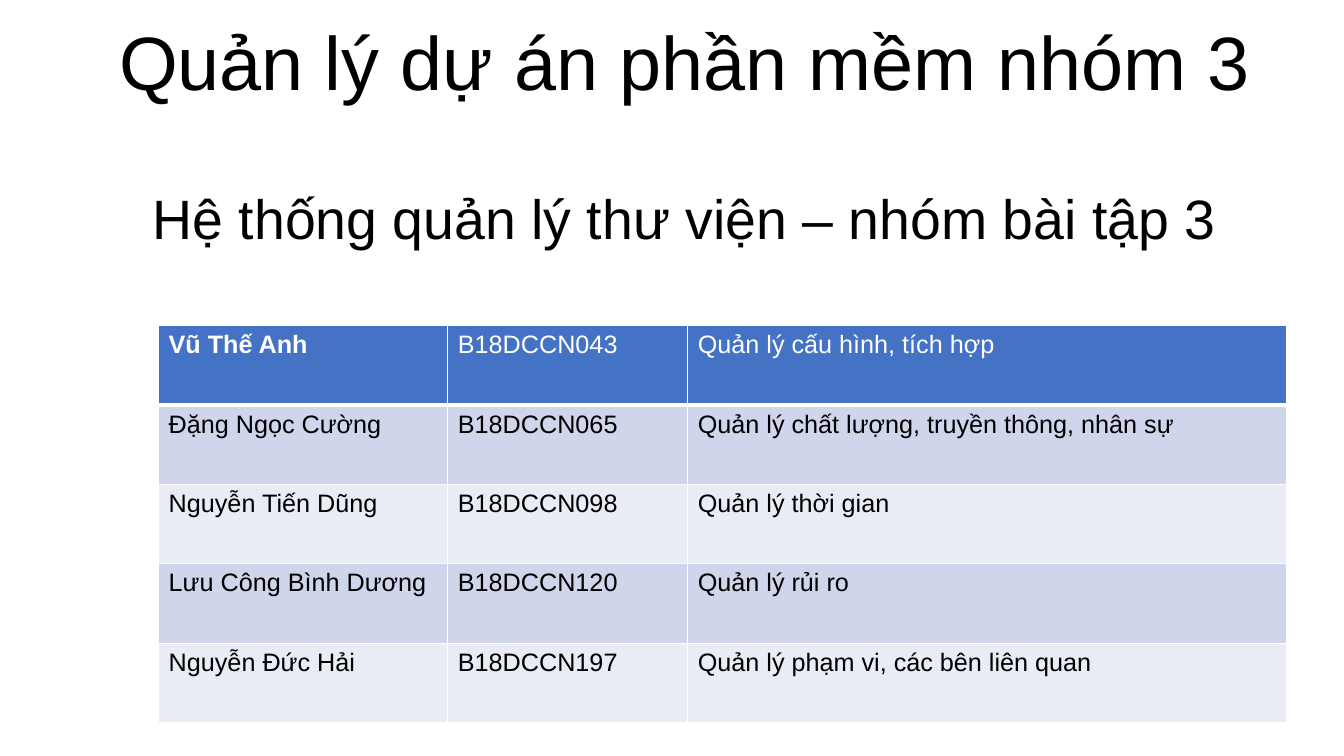
from lxml import etree
from pptx import Presentation
from pptx.dml.color import RGBColor
from pptx.enum import text
from pptx.oxml import ns
from pptx.util import Pt

FONT = "Arial"
BLACK, WHITE = "000000", "FFFFFF"
HEADER_FILL = "4472C4"
BAND_FILLS = ["CFD5EA", "E9EBF5"]

# wording, size, space before
HEADINGS = [
    ("Quản lý dự án phần mềm nhóm 3", 54, 0),
    ("Hệ thống quản lý thư viện – nhóm bài tập 3", 39.6, 61),
]
HEADING_BOX = (39.6, 0, 898.6, 231.1)
HEADING_BOTTOM_INSET = 51.3

MEMBERS = [
    ("Vũ Thế Anh", "B18DCCN043", "Quản lý cấu hình, tích hợp"),
    ("Đặng Ngọc Cường", "B18DCCN065", "Quản lý chất lượng, truyền thông, nhân sự"),
    ("Nguyễn Tiến Dũng", "B18DCCN098", "Quản lý thời gian"),
    ("Lưu Công Bình Dương", "B18DCCN120", "Quản lý rủi ro"),
    ("Nguyễn Đức Hải", "B18DCCN197", "Quản lý phạm vi, các bên liên quan"),
]
TABLE_LEFT, TABLE_TOP = 113.3, 232.7
COLUMN_WIDTHS = [206.6, 171.4, 427.7]
ROW_HEIGHT = 56.7


def color(value):
    return RGBColor.from_string(value)


def add_run(paragraph, wording, size, ink, bold=False):
    run = paragraph.add_run()
    run.text = wording
    run.font.name = FONT
    run.font.size = Pt(size)
    run.font.bold = bold
    run.font.color.rgb = color(ink)


def add_borders(cell, top, bottom):
    """Draw white cell borders; top and bottom are widths in points."""
    properties = cell._tc.get_or_add_tcPr()
    for side, width in (("L", 1), ("R", 1), ("T", top), ("B", bottom)):
        line = etree.SubElement(properties, ns.qn(f"a:ln{side}"), w=str(Pt(width)))
        fill = etree.SubElement(line, ns.qn("a:solidFill"))
        etree.SubElement(fill, ns.qn("a:srgbClr"), val=WHITE)


def add_headings(slide):
    box = slide.shapes.add_textbox(*map(Pt, HEADING_BOX))
    frame = box.text_frame
    frame.word_wrap = True
    frame.vertical_anchor = text.MSO_ANCHOR.BOTTOM
    frame.margin_bottom = Pt(HEADING_BOTTOM_INSET)
    for index, (wording, size, space) in enumerate(HEADINGS):
        paragraph = frame.add_paragraph() if index else frame.paragraphs[0]
        paragraph.alignment = text.PP_ALIGN.CENTER
        paragraph.line_spacing = 0.9
        paragraph.space_before = Pt(space)
        add_run(paragraph, wording, size, BLACK)


def add_member_table(slide):
    table = slide.shapes.add_table(
        len(MEMBERS), len(COLUMN_WIDTHS), Pt(TABLE_LEFT), Pt(TABLE_TOP),
        Pt(sum(COLUMN_WIDTHS)), Pt(ROW_HEIGHT * len(MEMBERS))).table
    for column, width in zip(table.columns, COLUMN_WIDTHS):
        column.width = Pt(width)
    for r, member in enumerate(MEMBERS):
        table.rows[r].height = Pt(ROW_HEIGHT)
        header = r == 0
        for c, wording in enumerate(member):
            cell = table.cell(r, c)
            add_borders(cell, top=3 if r == 1 else 1, bottom=3 if header else 1)
            cell.fill.solid()
            cell.fill.fore_color.rgb = color(HEADER_FILL if header else BAND_FILLS[(r - 1) % 2])
            add_run(cell.text_frame.paragraphs[0], wording, 18,
                    WHITE if header else BLACK, bold=header and c == 0)


def main():
    presentation = Presentation()
    presentation.slide_width, presentation.slide_height = Pt(960), Pt(540)
    slide = presentation.slides.add_slide(presentation.slide_layouts[6])
    add_headings(slide)
    add_member_table(slide)
    presentation.save("out.pptx")


if __name__ == "__main__":
    main()
